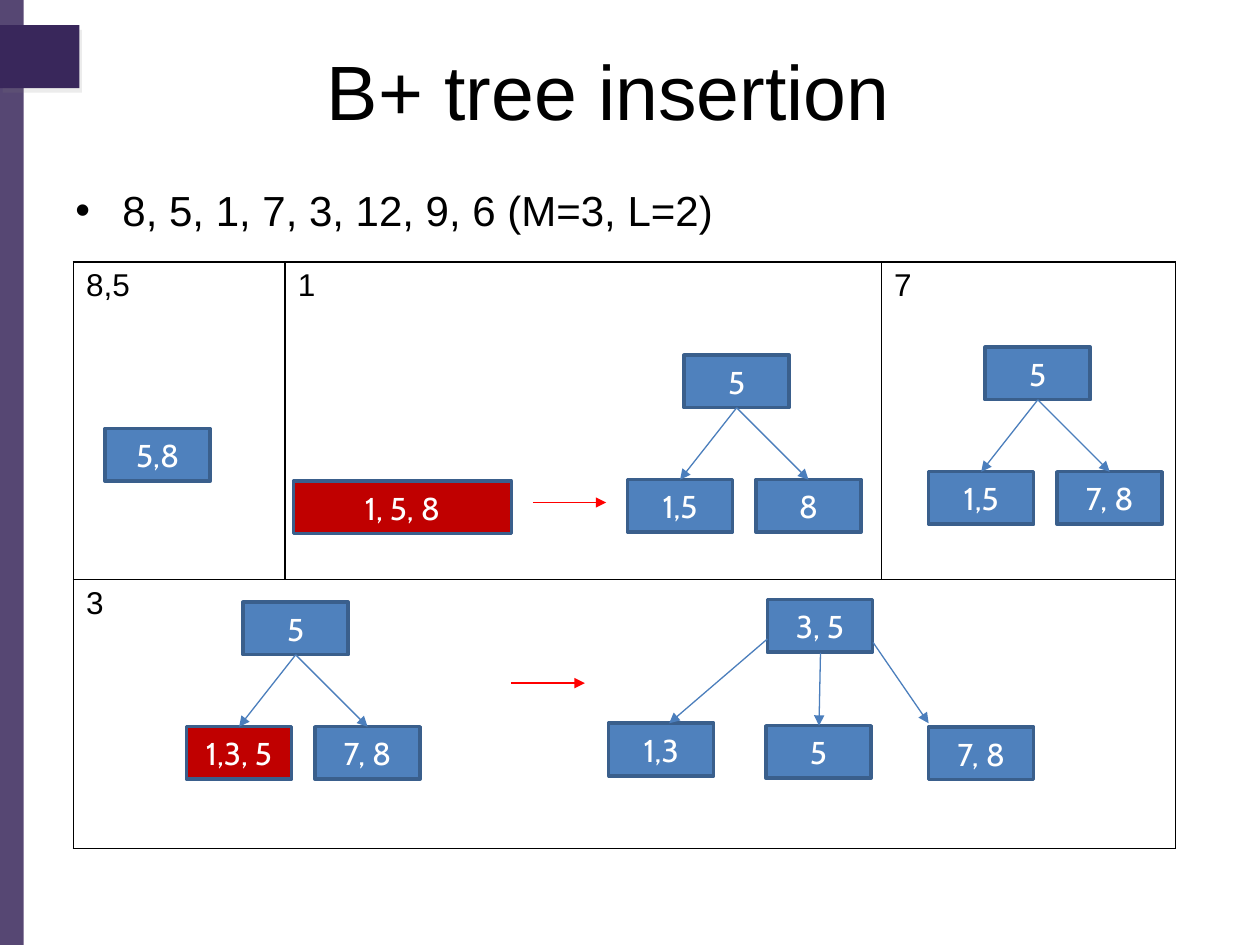
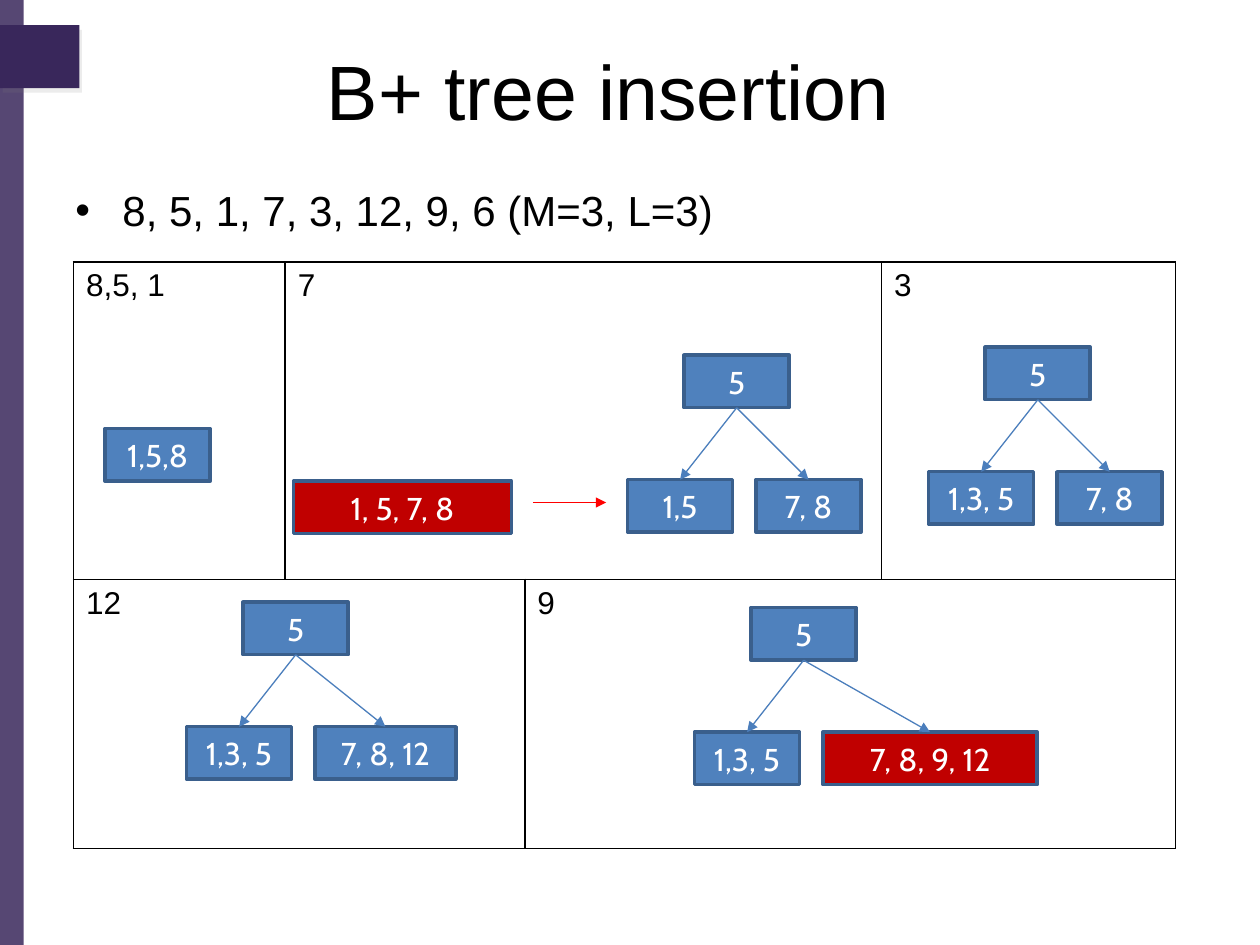
from dataclasses import dataclass

from lxml import etree
from pptx import Presentation
from pptx.dml.color import RGBColor
from pptx.enum.shapes import MSO_CONNECTOR, MSO_SHAPE
from pptx.enum.text import MSO_ANCHOR, PP_ALIGN
from pptx.oxml import parse_xml
from pptx.oxml.ns import nsdecls, qn
from pptx.util import Cm, Pt

RECTANGLE = MSO_SHAPE.RECTANGLE
STRAIGHT = MSO_CONNECTOR.STRAIGHT
MIDDLE = MSO_ANCHOR.MIDDLE
CENTER = PP_ALIGN.CENTER
TOP_SITE, BOTTOM_SITE = 0, 2

# Shared look
TEXT_FONT, NODE_FONT = "Arial", "Cabin"
BLACK, WHITE = "000000", "FFFFFF"
PURPLE, SHADOW = "39275B", "808080"
NODE_FILL, NODE_LINE, OVERFLOW_FILL = "4F81BD", "3A5F8C", "C00000"
EDGE, STEP = "4B7EBC", "FF0000"

# Shared measures in centimetres
NODE_WIDTH, NODE_HEIGHT = 2.12, 1.06
LEFT_LEAF, RIGHT_LEAF, LEAF_DROP = -1.14, 1.45, 2.51
STEP_LENGTH = 1.48
TABLE_LEFT, TABLE_TOP = 1.48, 5.28
ROW_HEIGHTS = (6.4, 5.42)


@dataclass
class Node:
    text: str
    left: float
    top: float
    width: float = NODE_WIDTH
    overflow: bool = False


@dataclass
class Leaf:
    text: str
    width: float = NODE_WIDTH
    overflow: bool = False


@dataclass
class Tree:
    """A root with two leaves; left and top place the root."""
    root: str
    left: float
    top: float
    leaves: tuple[Leaf, Leaf]


@dataclass
class Arrow:
    start: tuple[float, float]
    end: tuple[float, float]
    color: str = EDGE


@dataclass
class Cell:
    text: str
    row: int
    column: int
    span: int = 1


@dataclass
class Page:
    sequence: str
    columns: tuple[float, ...]
    cells: list[Cell]
    nodes: list[Node]
    trees: list[Tree]
    arrows: list[Arrow]


def rgb(value: str) -> RGBColor:
    return RGBColor.from_string(value)


def style(paragraph, size: float, font: str, color: str) -> None:
    paragraph.font.size = Pt(size)
    paragraph.font.name = font
    paragraph.font.color.rgb = rgb(color)


def add_rectangle(slide, left: float, top: float, width: float, height: float, fill: str):
    shape = slide.shapes.add_shape(RECTANGLE, Cm(left), Cm(top), Cm(width), Cm(height))
    shape.shadow.inherit = False
    shape.fill.solid()
    shape.fill.fore_color.rgb = rgb(fill)
    shape.line.fill.background()
    return shape


def add_bands(slide) -> None:
    side_band = add_rectangle(slide, 0, 0, 0.48, 19.05, PURPLE)
    color = side_band.fill._xPr.find(f".//{qn('a:srgbClr')}")
    etree.SubElement(color, qn("a:alpha"), val="85000")

    corner = add_rectangle(slide, 0, 0.51, 1.6, 1.27, PURPLE)
    effects = corner._element.spPr.find(qn("a:effectLst"))
    effects.append(parse_xml(
        f'<a:outerShdw {nsdecls("a")} blurRad="0" dist="{Pt(3)}" dir="3600000">'
        f'<a:srgbClr val="{SHADOW}"><a:alpha val="15000"/></a:srgbClr></a:outerShdw>'))


def add_text(slide, text: str, left: float, top: float, height: float, size: float):
    box = slide.shapes.add_textbox(Cm(left), Cm(top), Cm(22.86), Cm(height))
    box.text_frame.word_wrap = True
    paragraph = box.text_frame.paragraphs[0]
    paragraph.text = text
    style(paragraph, size, TEXT_FONT, BLACK)
    return box.text_frame


def add_heading(slide, sequence: str) -> None:
    title = add_text(slide, "B+ tree insertion", 0.84, 0.64, 2.34, 44)
    title.vertical_anchor = MIDDLE
    title.paragraphs[0].alignment = CENTER

    body = add_text(slide, sequence, 1.27, 3.6, 1.4, 24)
    properties = body.paragraphs[0]._p.get_or_add_pPr()
    properties.set("marL", str(Cm(0.95)))
    properties.set("indent", str(Cm(-0.95)))
    etree.SubElement(properties, qn("a:buFont"), typeface=TEXT_FONT)
    etree.SubElement(properties, qn("a:buChar"), char="•")


def add_borders(cell) -> None:
    properties = cell._tc.get_or_add_tcPr()
    for index, side in enumerate(("lnL", "lnR", "lnT", "lnB")):
        properties.insert(index, parse_xml(
            f'<a:{side} {nsdecls("a")} w="{Pt(1)}"><a:solidFill>'
            f'<a:srgbClr val="{BLACK}"/></a:solidFill></a:{side}>'))


def add_grid(slide, columns: tuple[float, ...], cells: list[Cell]) -> None:
    table = slide.shapes.add_table(
        len(ROW_HEIGHTS), len(columns), Cm(TABLE_LEFT), Cm(TABLE_TOP),
        Cm(sum(columns)), Cm(sum(ROW_HEIGHTS))).table
    table.first_row = table.horz_banding = False
    for column, width in zip(table.columns, columns):
        column.width = Cm(width)
    for row, height in zip(table.rows, ROW_HEIGHTS):
        row.height = Cm(height)
    for cell in table.iter_cells():
        cell.fill.background()
        add_borders(cell)
    for item in cells:
        cell = table.cell(item.row, item.column)
        if item.span > 1:
            cell.merge(table.cell(item.row, item.column + item.span - 1))
        cell.text = item.text
        style(cell.text_frame.paragraphs[0], 18, TEXT_FONT, BLACK)


def add_node(slide, node: Node):
    fill = OVERFLOW_FILL if node.overflow else NODE_FILL
    shape = add_rectangle(slide, node.left, node.top, node.width, NODE_HEIGHT, fill)
    shape.line.color.rgb = rgb(NODE_LINE)
    shape.line.width = Pt(2)
    shape.text_frame.vertical_anchor = MIDDLE
    paragraph = shape.text_frame.paragraphs[0]
    paragraph.text = node.text
    paragraph.alignment = CENTER
    style(paragraph, 18, NODE_FONT, WHITE)
    return shape


def add_arrow(slide, arrow: Arrow):
    points = [Cm(value) for value in (*arrow.start, *arrow.end)]
    connector = slide.shapes.add_connector(STRAIGHT, *points)
    connector.line.color.rgb = rgb(arrow.color)
    connector.line.width = Pt(0.75)
    etree.SubElement(connector.line._get_or_add_ln(), qn("a:tailEnd"), type="triangle")
    etree.SubElement(connector._element.spPr, qn("a:effectLst"))
    return connector


def add_tree(slide, tree: Tree) -> None:
    root = add_node(slide, Node(tree.root, tree.left, tree.top))
    for leaf, offset in zip(tree.leaves, (LEFT_LEAF, RIGHT_LEAF)):
        child = add_node(slide, Node(leaf.text, tree.left + offset, tree.top + LEAF_DROP,
                                     leaf.width, leaf.overflow))
        edge = add_arrow(slide, Arrow((0, 0), (1, 1)))
        edge.begin_connect(root, BOTTOM_SITE)
        edge.end_connect(child, TOP_SITE)


def step_arrow(left: float, top: float) -> Arrow:
    return Arrow((left, top), (left + STEP_LENGTH, top), STEP)


def first_row_nodes(single: str, overflow: str) -> list[Node]:
    return [Node(single, 2.12, 8.64), Node(overflow, 5.92, 9.7, 4.39, True)]


def first_row_trees(split_right: str, next_left: str) -> list[Tree]:
    return [Tree("5", 13.79, 7.16, (Leaf("1,5"), Leaf(split_right))),
            Tree("5", 19.86, 7.0, (Leaf(next_left), Leaf("7, 8")))]


def second_row_tree(left_leaf: Leaf, right_leaf: Leaf) -> Tree:
    return Tree("5", 4.9, 12.14, (left_leaf, right_leaf))


SPLIT_STEP = step_arrow(10.74, 10.13)

PAGES = [
    Page(
        sequence="8, 5, 1, 7, 3, 12, 9, 6 (M=3, L=2)",
        columns=(4.27, 12.02, 5.93),
        cells=[Cell("8,5", 0, 0), Cell("1", 0, 1), Cell("7", 0, 2), Cell("3", 1, 0, 3)],
        nodes=first_row_nodes("5,8", "1, 5, 8") + [
            Node("3, 5", 15.47, 12.09), Node("1,3", 12.27, 14.58),
            Node("5", 15.44, 14.63), Node("7, 8", 18.72, 14.66)],
        trees=first_row_trees("8", "1,5") + [
            second_row_tree(Leaf("1,3, 5", overflow=True), Leaf("7, 8"))],
        arrows=[SPLIT_STEP, step_arrow(10.31, 13.77),
                Arrow((15.47, 12.88), (13.49, 14.58)),
                Arrow((16.54, 13.16), (16.51, 14.63)),
                Arrow((17.6, 12.95), (18.72, 14.58))],
    ),
    Page(
        sequence="8, 5, 1, 7, 3, 12, 9, 6 (M=3, L=3)",
        columns=(4.27, 4.83, 7.19, 5.93),
        cells=[Cell("8,5, 1", 0, 0), Cell("7", 0, 1, 2), Cell("3", 0, 3),
               Cell("12", 1, 0, 2), Cell("9", 1, 2, 2)],
        nodes=first_row_nodes("1,5,8", "1, 5, 7, 8"),
        trees=first_row_trees("7, 8", "1,3, 5") + [
            second_row_tree(Leaf("1,3, 5"), Leaf("7, 8, 12", 2.84)),
            Tree("5", 15.14, 12.25, (Leaf("1,3, 5"), Leaf("7, 8, 9, 12", 4.32, True)))],
        arrows=[SPLIT_STEP],
    ),
]


def main() -> None:
    presentation = Presentation()
    presentation.slide_width, presentation.slide_height = Cm(25.4), Cm(19.05)
    for page in PAGES:
        slide = presentation.slides.add_slide(presentation.slide_layouts[6])
        add_bands(slide)
        add_heading(slide, page.sequence)
        add_grid(slide, page.columns, page.cells)
        for node in page.nodes:
            add_node(slide, node)
        for tree in page.trees:
            add_tree(slide, tree)
        for arrow in page.arrows:
            add_arrow(slide, arrow)
    presentation.save("out.pptx")


if __name__ == "__main__":
    main()
